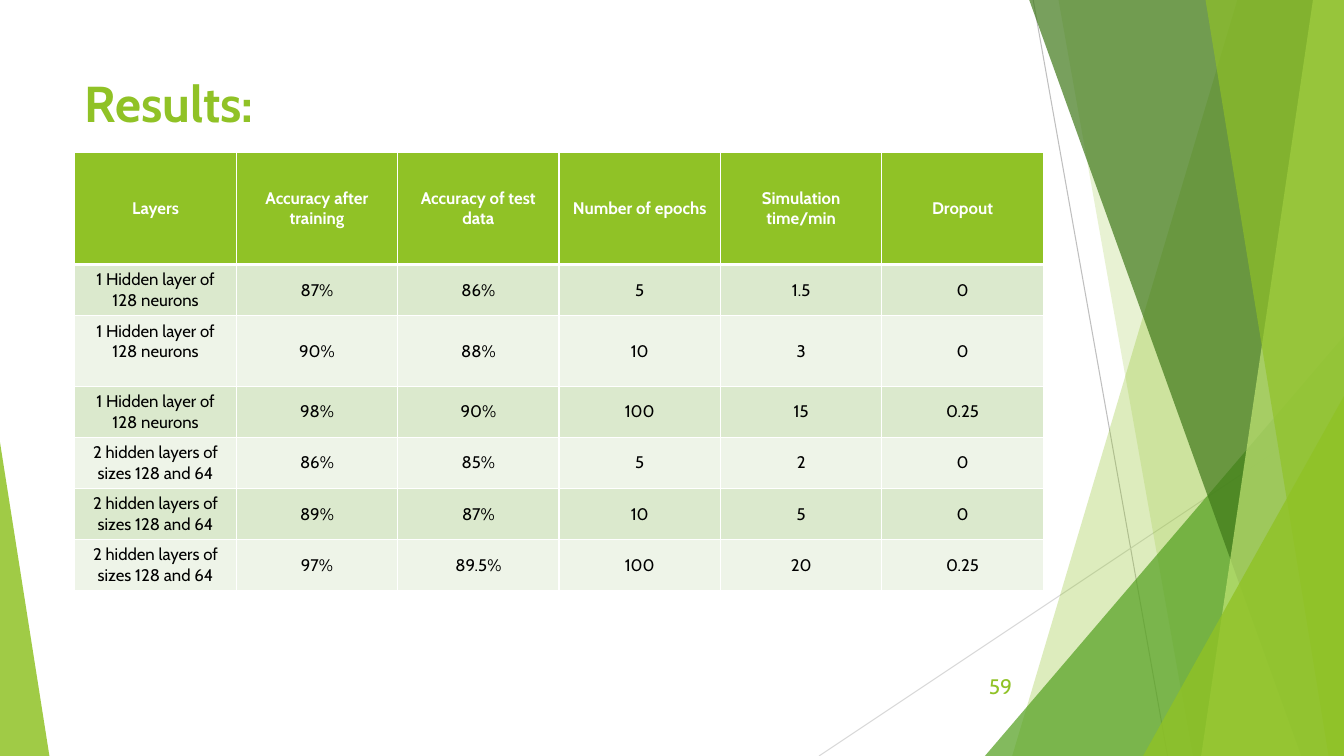
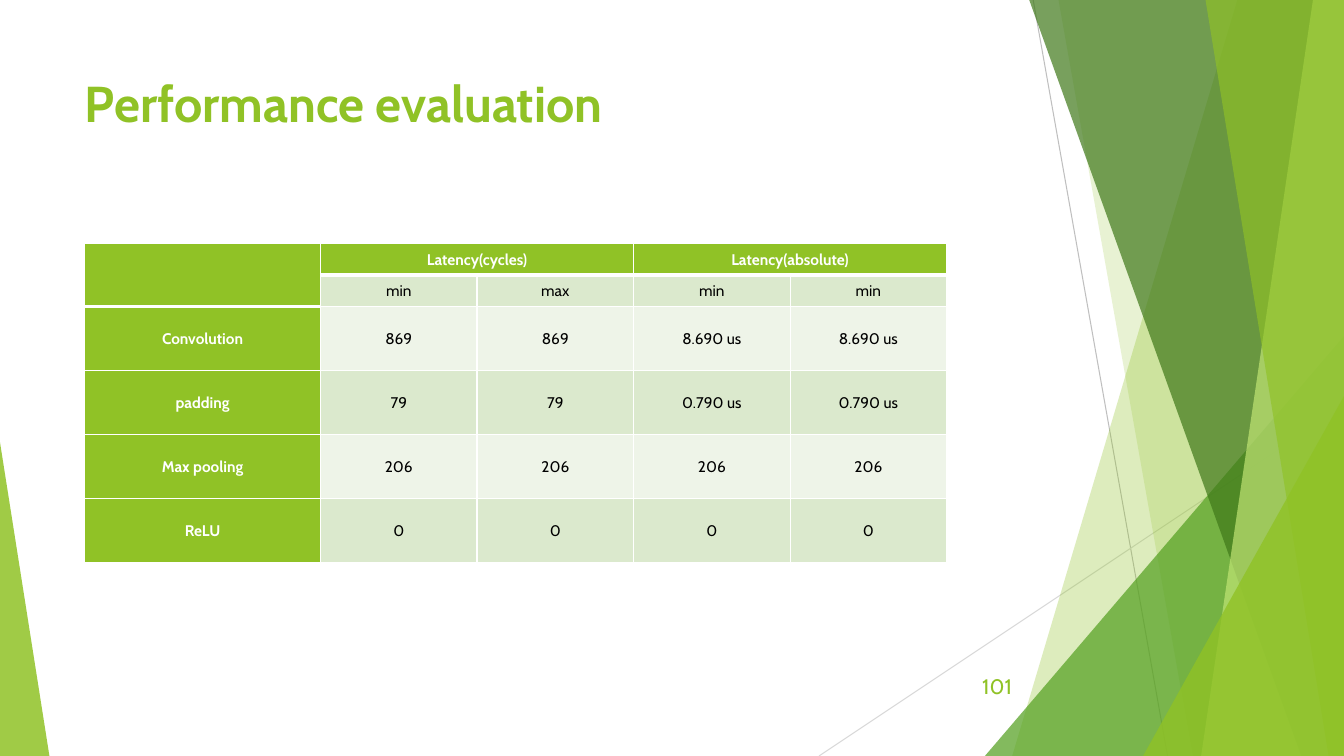
"""Build two result-table slides on a shared green faceted layout."""
from lxml import etree
from pptx import Presentation
from pptx.dml.color import RGBColor
from pptx.enum.shapes import MSO_CONNECTOR, MSO_SHAPE
from pptx.enum.text import MSO_ANCHOR, MSO_AUTO_SIZE, PP_ALIGN
from pptx.oxml.ns import qn
from pptx.util import Pt

GREEN = RGBColor(0x90, 0xC2, 0x26)
MID_GREEN = RGBColor(0x54, 0xA0, 0x21)
DARK_GREEN = RGBColor(0x3F, 0x78, 0x19)
LIGHT_GREEN = RGBColor(0xC0, 0xE4, 0x74)
BAND_DARK = RGBColor(0xDB, 0xE9, 0xCD)
BAND_LIGHT = RGBColor(0xEE, 0xF4, 0xE8)
GRAY = RGBColor(0xBF, 0xBF, 0xBF)
PALE_GRAY = RGBColor(0xD9, 0xD9, 0xD9)
WHITE = RGBColor(0xFF, 0xFF, 0xFF)
BLACK = RGBColor(0, 0, 0)
FONT = "Cabin"
WIDTH, HEIGHT = 960, 540


def add_run(paragraph, text, size, color, bold=False):
    run = paragraph.add_run()
    run.text = text
    run.font.name = FONT
    run.font.size = Pt(size)
    run.font.bold = bold
    run.font.color.rgb = color


def add_grid(slide, left, top, widths, heights, rows, size, row_headers=False):
    frame = slide.shapes.add_table(len(rows), len(widths), Pt(left), Pt(top),
                                   Pt(sum(widths)), Pt(sum(heights)))
    table = frame.table
    table.horz_banding = False
    for column, width in zip(table.columns, widths):
        column.width = Pt(width)
    for row, height in zip(table.rows, heights):
        row.height = Pt(height)
    cell_elements = iter(frame.element.xpath(".//a:tc"))
    for row_index, texts in enumerate(rows):
        for column_index, text in enumerate(texts):
            cell = table.cell(row_index, column_index)
            header = row_index == 0 or (row_headers and column_index == 0)
            cell.vertical_anchor = MSO_ANCHOR.MIDDLE
            properties = next(cell_elements).get_or_add_tcPr()
            thick = row_index == 0 or (header and row_index == 1)
            for side in ("L", "R", "T", "B"):
                border = etree.SubElement(properties, qn(f"a:ln{side}"))
                border.set("w", str(Pt(3 if thick and side == "B" else 1)))
                fill = etree.SubElement(border, qn("a:solidFill"))
                etree.SubElement(fill, qn("a:srgbClr")).set("val", str(WHITE))
                if side == "T" and row_index > 0:
                    properties.remove(border)
            cell.fill.solid()
            band = BAND_DARK if row_index % 2 else BAND_LIGHT
            cell.fill.fore_color.rgb = GREEN if header else band
            paragraph = cell.text_frame.paragraphs[0]
            paragraph.alignment = PP_ALIGN.CENTER
            add_run(paragraph, text, size, WHITE if header else BLACK, header)
    return table


presentation = Presentation()
presentation.slide_width, presentation.slide_height = Pt(WIDTH), Pt(HEIGHT)
layout = presentation.slide_layouts[5]
for placeholder in list(layout.placeholders)[1:]:
    placeholder.element.getparent().remove(placeholder.element)

slides = []
for title_text, number in (("Results:", "59"), ("Performance evaluation", "101")):
    slide = presentation.slides.add_slide(layout)
    slides.append(slide)
    title = slide.shapes.title
    title.left, title.top, title.width, title.height = Pt(53.3), Pt(48), Pt(677), Pt(104)
    title.text_frame.auto_size = MSO_AUTO_SIZE.NONE
    title.text_frame.vertical_anchor = MSO_ANCHOR.TOP
    paragraph = title.text_frame.paragraphs[0]
    paragraph.alignment = PP_ALIGN.LEFT
    add_run(paragraph, title_text, 36, GREEN, True)

    number_box = slide.shapes.add_textbox(Pt(676), Pt(476), Pt(54), Pt(28.75))
    number_box.text_frame.word_wrap = True
    number_box.text_frame.vertical_anchor = MSO_ANCHOR.MIDDLE
    paragraph = number_box.text_frame.paragraphs[0]
    paragraph.alignment = PP_ALIGN.RIGHT
    add_run(paragraph, number, 15, GREEN)

results_slide, performance_slide = slides

facets = results_slide.shapes.add_group_shape()
for color, *ends in ((GRAY, 738, 0, 834, HEIGHT), (PALE_GRAY, WIDTH, 290, 585, HEIGHT)):
    connector = facets.shapes.add_connector(MSO_CONNECTOR.STRAIGHT, *map(Pt, ends))
    connector.line.color.rgb = color
    connector.line.width = Pt(0.75)
    etree.SubElement(connector.element.spPr, qn("a:effectLst"))

for kind, color, opacity, *geometry in (
    ("band", GREEN, 30, 884, 723),
    ("band", GREEN, 20, 756, 852),
    ("triangle", MID_GREEN, 72, 703.5, 240, 256.5, 1),
    ("band", DARK_GREEN, 70, 735, 929.5),
    ("band", LIGHT_GREEN, 70, 938, 858),
    ("band", GREEN, 65, 861, 949),
    ("triangle", GREEN, 80, 816.5, 283, 143.5, 1),
    ("triangle", GREEN, 85, 0, 316, 35.3, 0),
):
    if kind == "band":
        top_x, bottom_x = geometry
        builder = facets.shapes.build_freeform(Pt(top_x), Pt(-0.6))
        corners = ((WIDTH, -0.6), (WIDTH, HEIGHT), (bottom_x, HEIGHT))
        builder.add_line_segments([(Pt(x), Pt(y)) for x, y in corners])
        shape = builder.convert_to_shape()
    else:
        left, top, width, peak = geometry
        shape = facets.shapes.add_shape(MSO_SHAPE.ISOSCELES_TRIANGLE, Pt(left), Pt(top),
                                        Pt(width), Pt(HEIGHT - top))
        shape.adjustments[0] = peak
    shape.shadow.inherit = False
    shape.fill.solid()
    shape.fill.fore_color.rgb = color
    shape.line.fill.background()
    color_element = shape.element.xpath(".//a:srgbClr")[0]
    etree.SubElement(color_element, qn("a:alpha")).set("val", str(opacity * 1000))
layout.shapes.element.append(facets.element)

ONE_LAYER = "1 Hidden layer of 128 neurons"
TWO_LAYERS = "2 hidden layers of sizes 128 and 64"
results = add_grid(
    results_slide, 53.5, 109, [115.3] * 6, [80, 36.5, 50.5] + [36.5] * 4,
    [
        ("Layers", "Accuracy after training", "Accuracy of test data",
         "Number of epochs", "Simulation time/min", "Dropout"),
        (ONE_LAYER, "87%", "86%", "5", "1.5", "0"),
        (ONE_LAYER, "90%", "88%", "10", "3", "0"),
        (ONE_LAYER, "98%", "90%", "100", "15", "0.25"),
        (TWO_LAYERS, "86%", "85%", "5", "2", "0"),
        (TWO_LAYERS, "89%", "87%", "10", "5", "0"),
        (TWO_LAYERS, "97%", "89.5%", "100", "20", "0.25"),
    ], 12)
results.cell(2, 0).margin_bottom = Pt(18)

performance = add_grid(
    performance_slide, 60.5, 173.5, [168.5] + [111.8] * 4, [22.7] * 2 + [45.7] * 4,
    [
        ("", "Latency(cycles)", "", "Latency(absolute)", ""),
        ("", "min", "max", "min", "min"),
        ("Convolution", "869", "869", "8.690 us", "8.690 us"),
        ("padding", "79", "79", "0.790 us", "0.790 us"),
        ("Max pooling", "206", "206", "206", "206"),
        ("ReLU", "0", "0", "0", "0"),
    ], 11, row_headers=True)
for cell in performance.iter_cells():
    cell.margin_left = cell.margin_right = Pt(5)
    cell.margin_top = cell.margin_bottom = 0
    paragraph = cell.text_frame.paragraphs[0]
    paragraph.line_spacing = 1.07
    paragraph.space_after = Pt(8)
for first, last in (((0, 0), (1, 0)), ((0, 1), (0, 2)), ((0, 3), (0, 4))):
    performance.cell(*first).merge(performance.cell(*last))

presentation.save("out.pptx")
